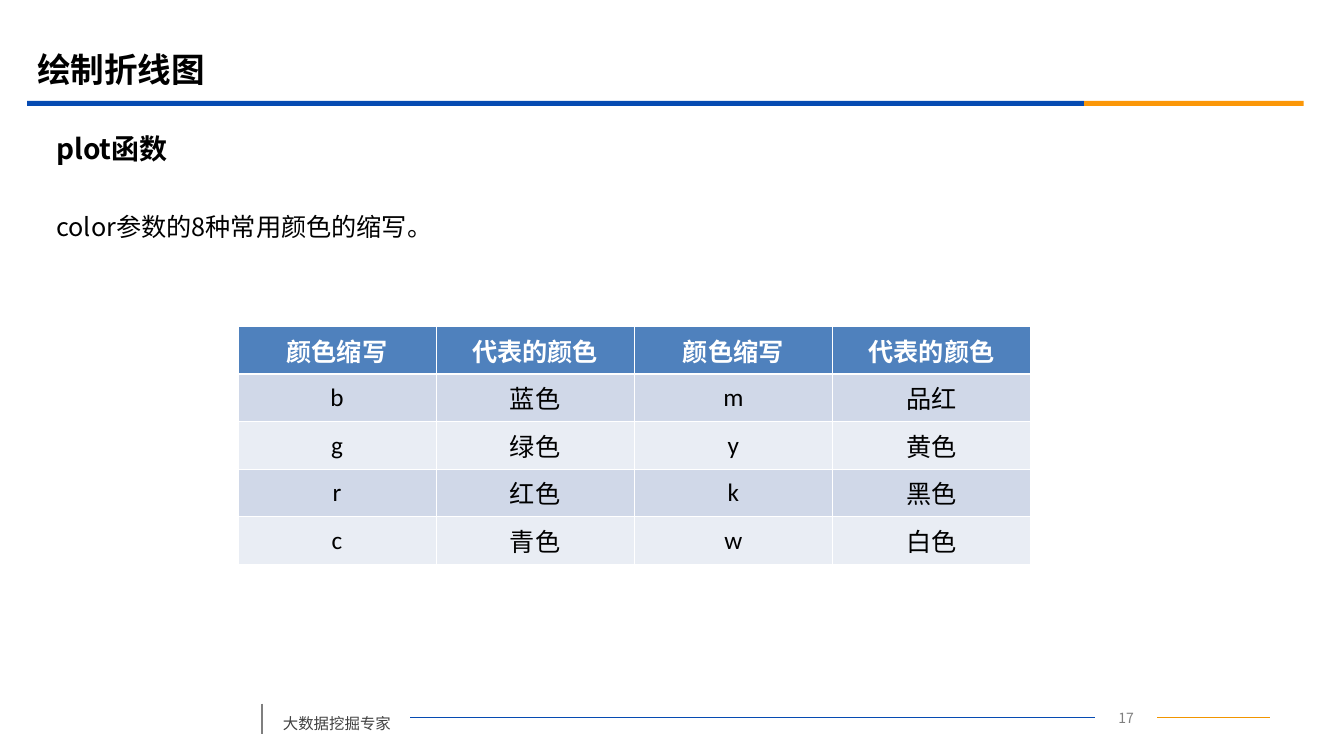
from dataclasses import dataclass

from lxml import etree
from pptx import Presentation
from pptx import util as u
from pptx.dml.color import RGBColor
from pptx.enum import shapes, text
from pptx.oxml.ns import qn

COLORS = {
    "black": "000000", "white": "FFFFFF", "gray": "7F7F7F", "dark": "404040",
    "blue": "064BB2", "orange": "FB9708", "amber": "F19500",
    "head": "4F81BD", "odd": "D0D8E8", "even": "E9EDF4",
}
CJK, LATIN = "Noto Sans CJK SC", "Calibri"
CENTER, MIDDLE = text.PP_ALIGN.CENTER, text.MSO_ANCHOR.MIDDLE
ROWS = [
    ["颜色缩写", "代表的颜色", "颜色缩写", "代表的颜色"],
    ["b", "蓝色", "m", "品红"],
    ["g", "绿色", "y", "黄色"],
    ["r", "红色", "k", "黑色"],
    ["c", "青色", "w", "白色"],
]


@dataclass
class Box:
    left: int
    top: int
    width: int
    height: int

    def inner(self, left, top, width, height):
        """Return an inner box given in percent of this one."""
        return Box(int(self.left + self.width * left / 100),
                   int(self.top + self.height * top / 100),
                   int(self.width * width / 100),
                   int(self.height * height / 100))

    def bounds(self):
        return self.left, self.top, self.width, self.height


def rgb(name):
    return RGBColor.from_string(COLORS[name])


def write(frame, words, size, color="black", bold=False, font=CJK,
          align=text.PP_ALIGN.LEFT, spacing=1.0):
    frame.text = words
    para = frame.paragraphs[0]
    para.alignment, para.line_spacing = align, spacing
    para.space_before = u.Pt(0)
    span = para.runs[0]
    span.font.size, span.font.bold, span.font.name = u.Pt(size), bold, font
    span.font.color.rgb = rgb(color)
    etree.SubElement(span.font._element, qn("a:ea"), typeface=font)


def place(shape, box):
    shape.left, shape.top, shape.width, shape.height = box.bounds()


def add_text(page, box, words, size, anchor=text.MSO_ANCHOR.TOP, **style):
    frame = page.shapes.add_textbox(*box.bounds()).text_frame
    frame.word_wrap = True
    frame.vertical_anchor = anchor
    write(frame, words, size, **style)


def add_bar(page, box, color):
    bar = page.shapes.add_shape(shapes.MSO_SHAPE.RECTANGLE, *box.bounds())
    bar.shadow.inherit = False
    bar.fill.solid()
    bar.fill.fore_color.rgb = rgb(color)
    bar.line.fill.background()


def add_line(page, box, color, width):
    line = page.shapes.add_connector(
        shapes.MSO_CONNECTOR.STRAIGHT, box.left, box.top,
        box.left + box.width, box.top + box.height)
    line.line.color.rgb = rgb(color)
    line.line.width = u.Pt(width)
    etree.SubElement(line._element.spPr, qn("a:effectLst"))


def add_header(page, box):
    title = page.shapes.title
    place(title, box.inner(0, 0, 94.7, 88))
    title.text_frame.auto_size = text.MSO_AUTO_SIZE.NONE
    title.text_frame.vertical_anchor = MIDDLE
    write(title.text_frame, "绘制折线图", 24, bold=True)
    # Two-colour rule below the title
    split = 82.8
    add_bar(page, box.inner(0, 92.4, split, 7.6), "blue")
    add_bar(page, box.inner(split, 92.4, 100 - split, 7.6), "orange")


def add_borders(cell, row):
    properties = cell._tc.get_or_add_tcPr()
    heavy = {0: "lnB", 1: "lnT"}.get(row)
    for side in ("lnL", "lnR", "lnT", "lnB"):
        width = u.Pt(1.47 if side == heavy else 0.45)
        border = etree.SubElement(properties, qn(f"a:{side}"), w=str(int(width)))
        fill = etree.SubElement(border, qn("a:solidFill"))
        etree.SubElement(fill, qn("a:srgbClr"), val=COLORS["white"])


def add_color_table(page, box):
    table = page.shapes.add_table(len(ROWS), len(ROWS[0]), *box.bounds()).table
    for row, words in enumerate(ROWS):
        for column, word in enumerate(words):
            cell = table.cell(row, column)
            cell.vertical_anchor = MIDDLE
            cell.margin_left = cell.margin_right = u.Inches(0.06)
            add_borders(cell, row)
            cell.fill.solid()
            band = "odd" if row % 2 else "even"
            cell.fill.fore_color.rgb = rgb(band if row else "head")
            write(cell.text_frame, word, 18, "black" if row else "white",
                  bold=row == 0, font=LATIN if word.isascii() else CJK,
                  align=CENTER)


def add_content(page, box):
    # Section heading
    add_text(page, box.inner(0, 0, 100, 8.6), "plot函数", 20,
             anchor=MIDDLE, bold=True)
    # Explanation in the body placeholder, without bullet
    body = page.placeholders[1]
    place(body, box.inner(0, 12.1, 100, 87.9))
    body.text_frame.auto_size = text.MSO_AUTO_SIZE.NONE
    write(body.text_frame, "color参数的8种常用颜色的缩写。", 18, spacing=1.5)
    properties = body.text_frame.paragraphs[0]._p.get_or_add_pPr()
    properties.set("marL", "0")
    properties.set("indent", "0")
    etree.SubElement(properties, qn("a:buNone"))
    add_color_table(page, box.inner(15.64, 36.76, 64.77, 43.38))


def add_footer(page, box):
    add_line(page, box.inner(0, 10.5, 0, 79), "gray", 1.25)
    add_text(page, box.inner(1.1, 0, 13.6, 100), "大数据挖掘专家", 11,
             color="dark", spacing=1.5)
    add_line(page, box.inner(14.7, 47.4, 67.9, 0), "blue", 0.75)
    add_text(page, box.inner(82.6, 13.2, 6.2, 65.8), "17", 10,
             color="gray", align=CENTER)
    add_line(page, box.inner(88.8, 47.4, 11.2, 0), "amber", 0.75)


def main():
    deck = Presentation()
    deck.slide_width, deck.slide_height = u.Inches(13.34), u.Inches(7.5)
    page = deck.slides.add_slide(deck.slide_layouts[1])
    whole = Box(0, 0, deck.slide_width, deck.slide_height)
    add_header(page, whole.inner(2.02, 5.2, 94.98, 8.8))
    add_content(page, whole.inner(3.45, 16.53, 91.08, 72.53))
    add_footer(page, whole.inner(19.49, 92.53, 75.04, 5.07))
    deck.save("out.pptx")


if __name__ == "__main__":
    main()
